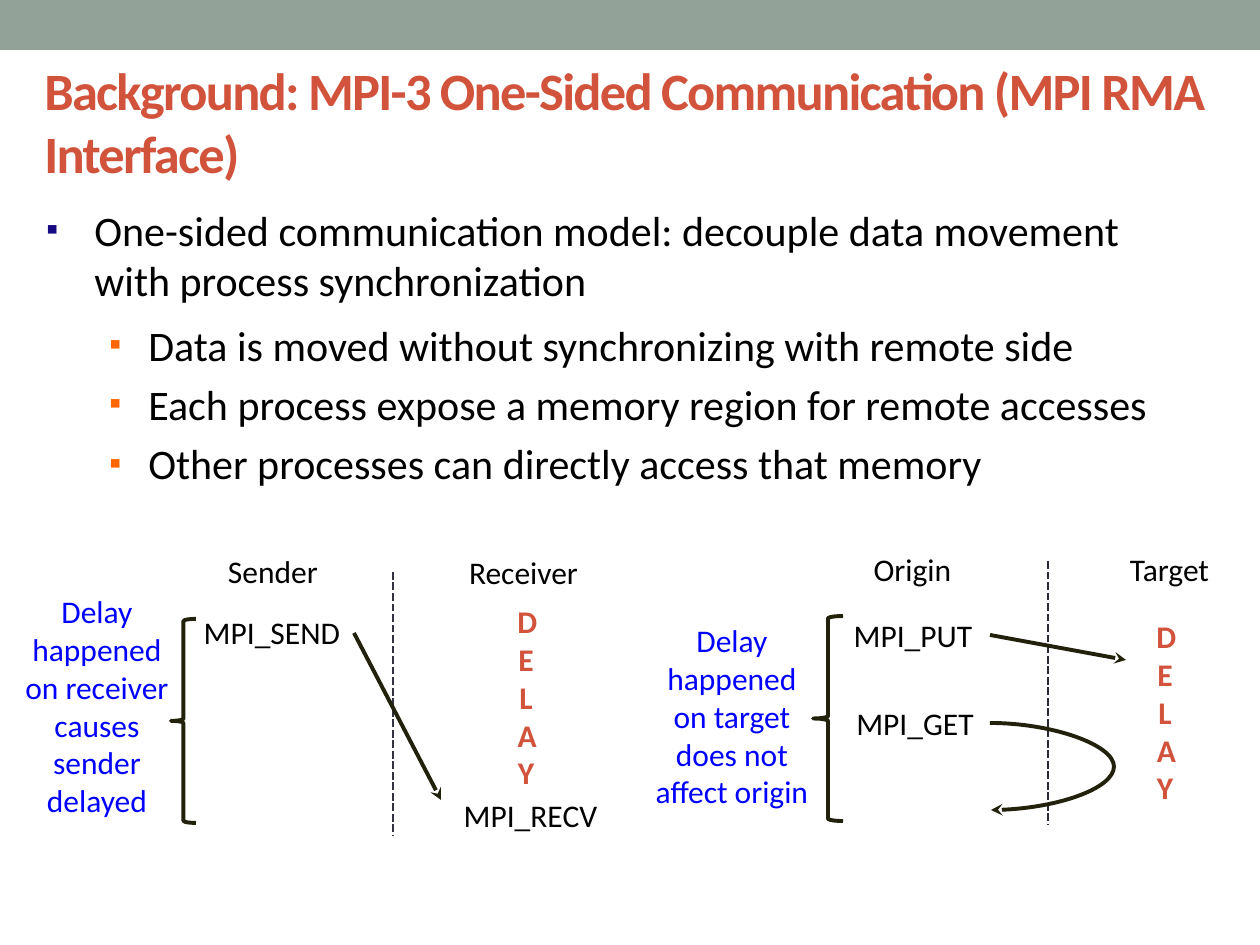
from lxml.etree import SubElement
from pptx import Presentation
from pptx.dml.color import RGBColor
from pptx.enum.dml import MSO_LINE
from pptx.enum.shapes import MSO_CONNECTOR, MSO_SHAPE
from pptx.enum.text import MSO_ANCHOR, PP_ALIGN
from pptx.oxml.ns import qn
from pptx.util import Pt

TITLE = "Background: MPI-3 One-Sided Communication (MPI RMA Interface)"
LEAD = ["One-sided communication model: decouple data movement with process synchronization"]
POINTS = [
    "Data is moved without synchronizing with remote side",
    "Each process expose a memory region for remote accesses",
    "Other processes can directly access that memory",
]
RED, BLUE, BLACK, DARK = "D2533C", "0000FF", "000000", "22210C"

LABELS = [
    ("Sender", 215, 546, 116), ("Receiver", 433, 547, 181),
    ("MPI_SEND", 190, 607, 164), ("MPI_RECV", 450, 790, 161),
    ("Origin", 861, 544, 103), ("Target", 1079, 544, 181),
    ("MPI_PUT", 840, 610, 146), ("MPI_GET", 843, 698, 144),
]
NOTES = [
    ("Delay happened on receiver causes sender delayed", 3, 586, 242),
    ("Delay happened on target does not affect origin", 638, 615, 204),
]
DELAYS = [(505, 596), (1144, 611)]
BRACES = [(171, 619, 25, 204), (813, 616, 30, 205)]
BORDERS = [(393, 572, "323240"), (1048, 561, "292934")]
ARROWS = [(354, 633, 441, 800), (990, 635, 1126, 660)]
LOOP, REACH = (990, 723, 991, 810), 125


def px(n):
    return round(n * 914400 / 126)


def rgb(code):
    return RGBColor.from_string(code)


def style(par, size, color, bold=False):
    font = par.font
    font.name, font.size, font.bold = "Calibri", Pt(size), bold
    font.color.rgb = rgb(color)


def write(text, box, size=18, color=BLACK, bold=False, wrap=True, align=PP_ALIGN.CENTER):
    frame = slide.shapes.add_textbox(*map(px, box)).text_frame
    frame.word_wrap = wrap
    par = frame.paragraphs[0]
    par.text = text
    par.alignment = align
    style(par.runs[0], size, color, bold)
    return frame


def bullets(items, box, left, hang, color):
    frame = slide.shapes.add_textbox(*map(px, box)).text_frame
    frame.word_wrap = True
    for i, item in enumerate(items):
        par = frame.paragraphs[0] if i == 0 else frame.add_paragraph()
        par.text = item
        if i:
            par.space_before = Pt(5)
        props = par._p.get_or_add_pPr()
        props.set("marL", str(px(left)))
        props.set("indent", str(-px(hang)))
        tint = SubElement(props, qn("a:buClr"))
        SubElement(tint, qn("a:srgbClr")).set("val", color)
        SubElement(props, qn("a:buSzPct")).set("val", "80000")
        SubElement(props, qn("a:buFont")).set("typeface", "Calibri")
        SubElement(props, qn("a:buChar")).set("char", "▪")
        style(par.runs[0], 24, BLACK)


def link(ends, color=DARK, width=2.25, kind=MSO_CONNECTOR.STRAIGHT, head=True):
    line = slide.shapes.add_connector(kind, *map(px, ends))
    line.line.color.rgb = rgb(color)
    line.line.width = Pt(width)
    if head:
        SubElement(line.line._get_or_add_ln(), qn("a:tailEnd")).set("type", "stealth")
    else:
        line.line.dash_style = MSO_LINE.SQUARE_DOT
    SubElement(line._element.spPr, qn("a:effectLst"))
    return line


def shape(kind, box):
    form = slide.shapes.add_shape(kind, *map(px, box))
    form.shadow.inherit = False
    return form


deck = Presentation()
deck.slide_width, deck.slide_height = px(1260), px(945)
slide = deck.slides.add_slide(deck.slide_layouts[6])

band = shape(MSO_SHAPE.RECTANGLE, (0, 0, 1260, 50))
band.fill.solid()
band.fill.fore_color.rgb = rgb("93A299")
band.line.fill.background()

title = write(TITLE, (32, 53, 1228, 136), 30, RED, True, align=PP_ALIGN.LEFT)
title.vertical_anchor = MSO_ANCHOR.MIDDLE
title.paragraphs[0].runs[0].font._element.set("spc", "-100")
bullets(LEAD, (34, 198, 1177, 112), 48, 48, "170981")
bullets(POINTS, (34, 313, 1177, 180), 102, 39, "FF6600")

for text, x, y, w in LABELS:
    write(text, (x, y, w, 50), wrap=False)
for text, x, y, h in NOTES:
    write(text, (x, y, 188, h), color=BLUE)
for x, y in DELAYS:
    write("DELAY", (x, y, 42, 204), color=RED, bold=True)
for box in BRACES:
    brace = shape(MSO_SHAPE.LEFT_BRACE, box)
    brace.fill.background()
    brace.line.color.rgb = rgb(DARK)
    brace.line.width = Pt(2.25)
for x, y, color in BORDERS:
    link((x, y, x, y + 264), color, 1.5, head=False)
for ends in ARROWS:
    link(ends)

loop = link(LOOP, kind=MSO_CONNECTOR.CURVE)
geom = loop._element.spPr.find(qn("a:prstGeom"))
guide = SubElement(geom.find(qn("a:avLst")), qn("a:gd"))
guide.set("name", "adj1")
guide.set("fmla", f"val {REACH * 100000}")

deck.save("out.pptx")
